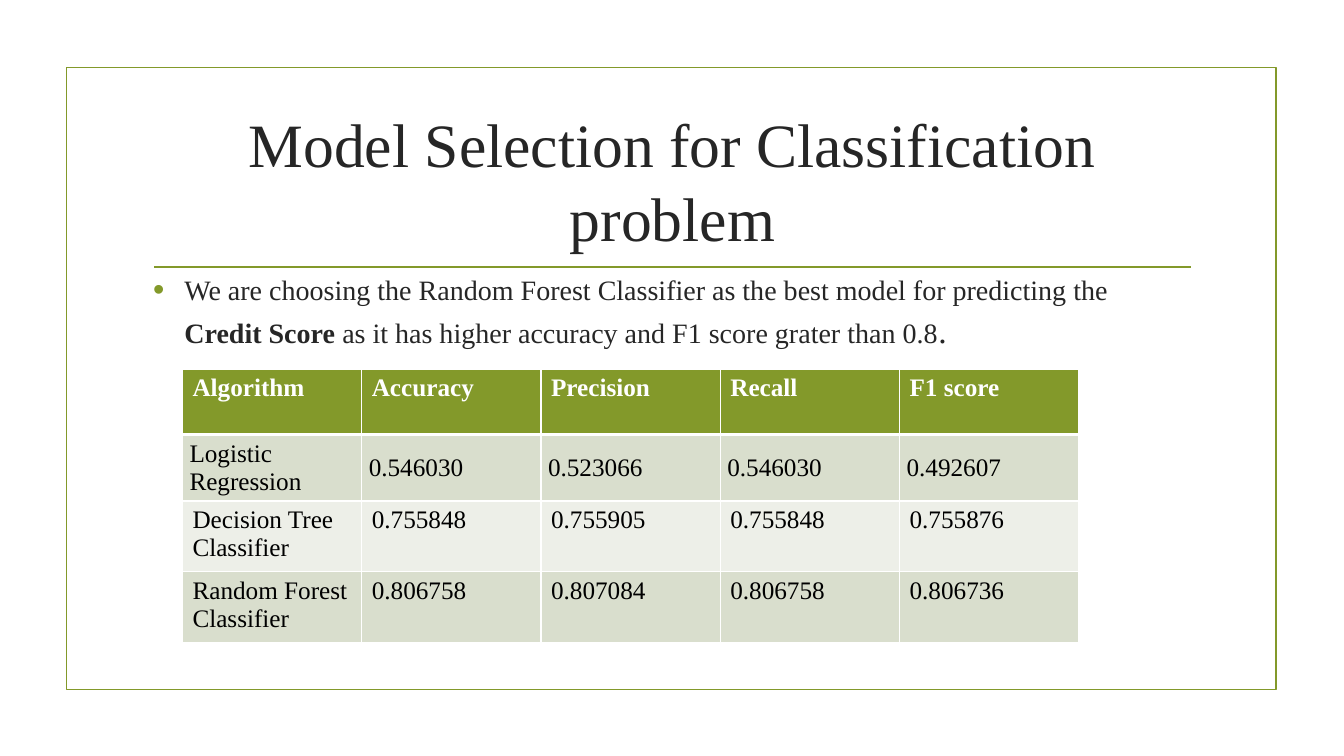
from dataclasses import dataclass

from lxml import etree
from pptx import Presentation
from pptx import util as u
from pptx.dml.color import RGBColor
from pptx.enum import shapes, text
from pptx.oxml.ns import qn


@dataclass(frozen=True)
class Theme:
    font: str = "Times New Roman"
    accent: str = "83992A"
    ink: str = "262626"
    black: str = "000000"
    white: str = "FFFFFF"
    band_dark: str = "D9DECD"
    band_light: str = "EDEFE8"
    title_size: int = 44
    body_size: int = 20
    stop_size: int = 24
    table_size: int = 18
    line_width: float = 1.25


THEME = Theme()
HEADERS = ["Algorithm", "Accuracy", "Precision", "Recall", "F1 score"]
RESULTS = [
    ["Logistic Regression", "0.546030", "0.523066", "0.546030", "0.492607"],
    ["Decision Tree Classifier", "0.755848", "0.755905", "0.755848", "0.755876"],
    ["Random Forest Classifier", "0.806758", "0.807084", "0.806758", "0.806736"],
]
ROW_HEIGHTS = [0.65, 0.62, 0.65, 0.65]


def inches(*lengths):
    return [u.Inches(length) for length in lengths]


def add_run(paragraph, words, size, color, bold=False):
    run = paragraph.add_run()
    run.text = words
    run.font.name = THEME.font
    run.font.size = u.Pt(size)
    run.font.bold = bold
    run.font.color.rgb = RGBColor.from_string(color)


def add_text_frame(slide, box, anchor):
    frame = slide.shapes.add_textbox(*inches(*box)).text_frame
    frame.word_wrap = True
    frame.vertical_anchor = anchor
    return frame


def style_line(line):
    line.color.rgb = RGBColor.from_string(THEME.accent)
    line.width = u.Pt(THEME.line_width)


def add_frame(slide, box):
    """Outline around the slide and the rule below the title."""
    left, top, width, height = box
    outline = slide.shapes.add_shape(shapes.MSO_SHAPE.RECTANGLE, *inches(*box))
    outline.shadow.inherit = False
    outline.fill.background()
    style_line(outline.line)

    rule_left, rule_right, rule_top = left + 0.87, left + width - 0.85, top + 1.98
    rule = slide.shapes.add_connector(
        shapes.MSO_CONNECTOR.STRAIGHT,
        *inches(rule_left, rule_top, rule_right, rule_top))
    style_line(rule.line)
    etree.SubElement(rule._element.spPr, qn("a:effectLst"))


def add_title(slide, box):
    frame = add_text_frame(slide, box, text.MSO_ANCHOR.MIDDLE)
    paragraph = frame.paragraphs[0]
    paragraph.alignment = text.PP_ALIGN.CENTER
    add_run(paragraph, "Model Selection for Classification problem",
            THEME.title_size, THEME.ink)


def add_bullet(paragraph, indent):
    properties = paragraph._p.get_or_add_pPr()
    properties.set("marL", str(u.Inches(indent)))
    properties.set("indent", str(-u.Inches(indent)))
    color = etree.SubElement(properties, qn("a:buClr"))
    etree.SubElement(color, qn("a:srgbClr"), val=THEME.accent)
    etree.SubElement(properties, qn("a:buSzPct"), val="115000")
    etree.SubElement(properties, qn("a:buFont"), typeface="Arial")
    etree.SubElement(properties, qn("a:buChar"), char="•")


def add_conclusion(slide, box):
    frame = add_text_frame(slide, box, text.MSO_ANCHOR.TOP)
    paragraph = frame.paragraphs[0]
    add_bullet(paragraph, 0.31)
    paragraph.line_spacing = 1.1
    for words, size, bold in [
        ("We are choosing the Random Forest Classifier as the best model "
         "for predicting the ", THEME.body_size, False),
        ("Credit Score ", THEME.body_size, True),
        ("as it has higher accuracy and F1 score grater than 0.8",
         THEME.body_size, False),
        (".", THEME.stop_size, False),
    ]:
        add_run(paragraph, words, size, THEME.ink, bold)


def set_borders(cell, bottom_width, top_width):
    properties = cell._tc.get_or_add_tcPr()
    widths = {"a:lnL": 1, "a:lnR": 1, "a:lnT": top_width, "a:lnB": bottom_width}
    for position, (tag, width) in enumerate(widths.items()):
        border = etree.Element(qn(tag), w=str(u.Pt(width)))
        fill = etree.SubElement(border, qn("a:solidFill"))
        etree.SubElement(fill, qn("a:srgbClr"), val=THEME.white)
        properties.insert(position, border)


def add_results(slide, box):
    rows = [HEADERS] + RESULTS
    table = slide.shapes.add_table(len(rows), len(HEADERS), *inches(*box)).table
    for column in table.columns:
        column.width = u.Inches(box[2] / len(HEADERS))
    for row_index, values in enumerate(rows):
        table.rows[row_index].height = u.Inches(ROW_HEIGHTS[row_index])
        header = row_index == 0
        band = THEME.band_dark if row_index % 2 else THEME.band_light
        for column_index, value in enumerate(values):
            cell = table.cell(row_index, column_index)
            cell.fill.solid()
            cell.fill.fore_color.rgb = RGBColor.from_string(
                THEME.accent if header else band)
            set_borders(cell, 3 if header else 1, 3 if row_index == 1 else 1)
            # The first result row is centred with tighter margins
            if row_index == 1:
                cell.vertical_anchor = text.MSO_ANCHOR.MIDDLE
                cell.margin_left = cell.margin_right = u.Inches(0.07)
                cell.margin_top = cell.margin_bottom = u.Inches(0.03)
            add_run(cell.text_frame.paragraphs[0], value, THEME.table_size,
                    THEME.white if header else THEME.black, header)


def main():
    presentation = Presentation()
    presentation.slide_width, presentation.slide_height = inches(13.33, 7.5)
    slide = presentation.slides.add_slide(presentation.slide_layouts[6])
    add_frame(slide, (0.66, 0.67, 12, 6.17))
    add_title(slide, (1.42, 1.07, 10.5, 1.43))
    add_conclusion(slide, (1.42, 2.62, 10.5, 1))
    add_results(slide, (1.81, 3.66, 8.89, sum(ROW_HEIGHTS)))
    presentation.save("out.pptx")


if __name__ == "__main__":
    main()
